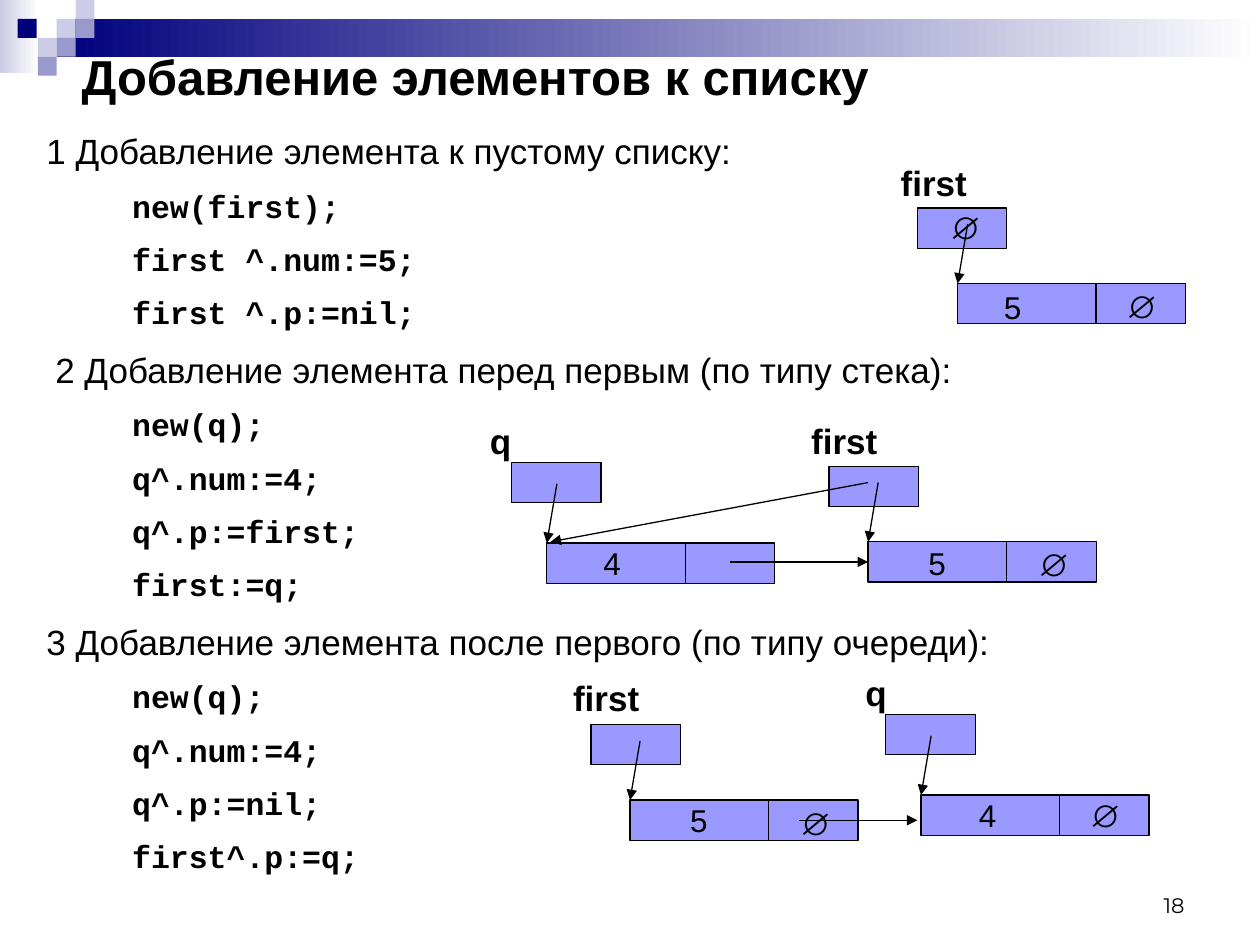
"""Build a slide on adding elements to a linked list."""
from dataclasses import dataclass
from typing import Optional

from lxml import etree
from pptx import Presentation
from pptx import util as u
from pptx.dml.color import RGBColor
from pptx.enum import shapes, text
from pptx.oxml.ns import qn

BLACK = RGBColor(0x00, 0x00, 0x00)
WHITE = RGBColor(0xFF, 0xFF, 0xFF)
NAVY = RGBColor(0x00, 0x00, 0x7D)
LAVENDER = RGBColor(0xCC, 0xCC, 0xE6)
VIOLET = RGBColor(0x99, 0x99, 0xCC)
CELL = RGBColor(0x99, 0x99, 0xFF)

CELL_HEIGHT, VALUE_WIDTH, POINTER_WIDTH = 0.32, 1.1, 0.71
NIL = "∅"
TEXT_WIDTHS = {"first": 0.74, "q": 0.38, "4": 0.34, "5": 0.34, NIL: 0.4}

Point = tuple[float, float]


@dataclass(frozen=True)
class Style:
    size: float
    font: str = "Arial"
    bold: bool = False


@dataclass(frozen=True)
class Square:
    left: float
    top: float
    color: RGBColor


@dataclass(frozen=True)
class Node:
    name: str
    name_at: Point
    pointer_at: Point
    cell_at: Point
    value: str
    value_at: Point
    nil_at: Optional[Point] = None


@dataclass(frozen=True)
class Section:
    heading: str
    indent: float
    code: tuple[str, ...]


TITLE = Style(28, bold=True)
HEADING = Style(20)
CODE = Style(18, "Courier New", True)
LABEL = Style(20, bold=True)
VALUE = Style(18)
NUMBER = Style(12, "Montserrat")

SQUARES = [
    Square(0.45, 0.15, LAVENDER),
    Square(0.6, 0, LAVENDER),
    Square(0.6, 0.15, VIOLET),
    Square(0.3, 0.3, LAVENDER),
    Square(0.14, 0.15, NAVY),
    Square(0.45, 0.3, VIOLET),
    Square(0.3, 0.45, VIOLET),
]
SECTIONS = [
    Section("1 Добавление элемента к пустому списку:", 0,
            ("new(first);", "first ^.num:=5;", "first ^.p:=nil;")),
    Section("2 Добавление элемента перед первым (по типу стека):", 0.07,
            ("new(q);", "q^.num:=4;", "q^.p:=first;", "first:=q;")),
    Section("3 Добавление элемента после первого (по типу очереди):", 0,
            ("new(q);", "q^.num:=4;", "q^.p:=nil;", "first^.p:=q;")),
]
NODES = [
    Node("first", (7.05, 1.23), (7.28, 1.65), (7.6, 2.25), "5", (7.87, 2.24), (8.84, 2.23)),
    Node("first", (6.34, 3.28), (6.58, 3.7), (6.89, 4.3), "5", (7.27, 4.27), (8.14, 4.28)),
    Node("q", (3.79, 3.28), (4.06, 3.67), (4.34, 4.31), "4", (4.69, 4.27)),
    Node("first", (4.45, 5.32), (4.69, 5.75), (5, 6.35), "5", (5.38, 6.31), (6.25, 6.33)),
    Node("q", (6.77, 5.28), (7.03, 5.67), (7.31, 6.31), "4", (7.67, 6.27), (8.55, 6.27)),
]
LINKS = [
    ((5.79, 4.46), (6.89, 4.46)),
    ((6.89, 3.83), (4.37, 4.3)),
    ((6.34, 6.51), (7.28, 6.51)),
]


def add_rectangle(page, left: float, top: float, width: float, height: float):
    box = page.shapes.add_shape(
        shapes.MSO_SHAPE.RECTANGLE,
        u.Inches(left), u.Inches(top), u.Inches(width), u.Inches(height))
    box.shadow.inherit = False
    box.line.fill.background()
    return box


def add_gradient(page, left: float, top: float, width: float, height: float,
                 color: RGBColor) -> None:
    fill = add_rectangle(page, left, top, width, height).fill
    fill.gradient()
    fill.gradient_angle = 0
    for stop, position, shade in zip(fill.gradient_stops, (0, 1), (color, WHITE)):
        stop.position = position
        stop.color.rgb = shade


def add_square(page, square: Square) -> None:
    box = add_rectangle(page, square.left, square.top, 0.15, 0.15)
    box.fill.solid()
    box.fill.fore_color.rgb = square.color


def add_cell(page, left: float, top: float, width: float) -> None:
    box = add_rectangle(page, left, top, width, CELL_HEIGHT)
    box.fill.solid()
    box.fill.fore_color.rgb = CELL
    box.line.color.rgb = BLACK
    box.line.width = u.Pt(0.75)


def add_arrow(page, start: Point, end: Point) -> None:
    arrow = page.shapes.add_connector(
        shapes.MSO_CONNECTOR.STRAIGHT, *(u.Inches(value) for value in start + end))
    arrow.line.color.rgb = BLACK
    arrow.line.width = u.Pt(0.75)
    etree.SubElement(arrow.line._get_or_add_ln(), qn("a:tailEnd"), type="triangle")
    etree.SubElement(arrow._element.spPr, qn("a:effectLst"))


def add_frame(page, left: float, top: float, width: float, height: float):
    box = page.shapes.add_textbox(
        u.Inches(left), u.Inches(top), u.Inches(width), u.Inches(height))
    box.text_frame.word_wrap = True
    return box.text_frame


def write(para, words: str, style: Style) -> None:
    para.text = words
    para.font.size = u.Pt(style.size)
    para.font.name = style.font
    para.font.bold = style.bold
    para.font.color.rgb = BLACK


def add_label(page, words: str, at: Point, style: Style) -> None:
    frame = add_frame(page, *at, TEXT_WIDTHS[words], 0.44 if style == LABEL else 0.4)
    frame.word_wrap = False
    frame.auto_size = text.MSO_AUTO_SIZE.SHAPE_TO_FIT_TEXT
    write(frame.paragraphs[0], words, style)


def add_node(page, node: Node) -> None:
    left, top = node.cell_at
    add_cell(page, *node.pointer_at, POINTER_WIDTH)
    add_label(page, node.name, node.name_at, LABEL)
    add_cell(page, left, top, VALUE_WIDTH)
    add_cell(page, left + VALUE_WIDTH, top, POINTER_WIDTH)
    add_arrow(page, (left + 0.08, top - 0.47), node.cell_at)
    add_label(page, node.value, node.value_at, VALUE)
    if node.nil_at:
        add_label(page, NIL, node.nil_at, VALUE)


def add_body(page) -> None:
    frame = add_frame(page, 0.27, 0.91, 9.45, 6.3)
    lines = [line for section in SECTIONS for line in (
        (section.heading, HEADING, section.indent),
        *((code, CODE, 0.68) for code in section.code))]
    for index, (words, style, indent) in enumerate(lines):
        para = frame.add_paragraph() if index else frame.paragraphs[0]
        write(para, words, style)
        para.line_spacing = 1.2
        para.space_before = u.Pt(style.size / 4)
        para._p.get_or_add_pPr().set("marL", str(u.Inches(indent)))


def main() -> None:
    deck = Presentation()
    deck.slide_width, deck.slide_height = u.Inches(10), u.Inches(7.5)
    page = deck.slides.add_slide(deck.slide_layouts[6])
    add_gradient(page, 0, 0, 0.31, 0.58, LAVENDER)
    add_gradient(page, 0.45, 0.15, 9.55, 0.3, NAVY)
    for square in SQUARES:
        add_square(page, square)
    number = add_frame(page, 7.17, 6.83, 2.33, 0.5)
    number.vertical_anchor = text.MSO_ANCHOR.BOTTOM
    write(number.paragraphs[0], "18", NUMBER)
    number.paragraphs[0].alignment = text.PP_ALIGN.RIGHT
    title = add_frame(page, 0.55, 0.36, 9.45, 0.48)
    title.vertical_anchor = text.MSO_ANCHOR.MIDDLE
    write(title.paragraphs[0], "Добавление элементов к списку", TITLE)
    add_body(page)
    for node in NODES:
        add_node(page, node)
    add_label(page, NIL, (7.44, 1.6), VALUE)
    for start, end in LINKS:
        add_arrow(page, start, end)
    deck.save("out.pptx")


if __name__ == "__main__":
    main()
